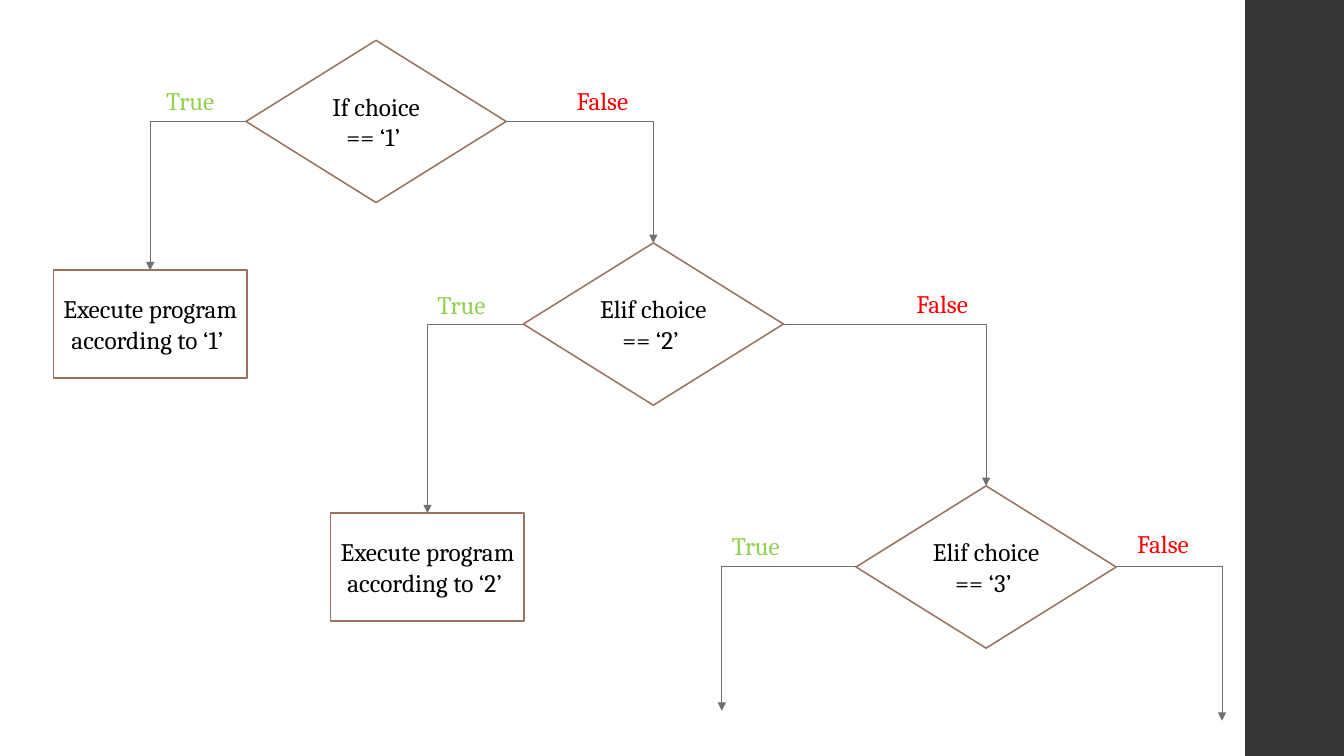
from dataclasses import dataclass

import pptx
import pptx.dml.color
import pptx.enum.dml
import pptx.enum.shapes
import pptx.enum.text
import pptx.util
from lxml import etree
from pptx.oxml.ns import qn
from pptx.util import Inches

SHAPES = pptx.enum.shapes.MSO_SHAPE
FONT = "Cambria"
DIAMOND_SIZE = (2.58, 1.61)
PROGRAM_SIZE = (1.92, 1.07)
LABEL_SIZE = (0.95, 0.4)
BLACK, WHITE, BAND, BROWN, GREY = "000000", "FFFFFF", "353537", "9B7362", "6F6F74"
GREEN, RED = "92D050", "FF0000"
TOP, LEFT, RIGHT = 0, 1, 3  # connection sites of diamonds and rectangles


@dataclass
class Decision:
    text: str
    left: float
    top: float
    true_label: tuple[float, float]
    false_label: tuple[float, float]


@dataclass
class Program:
    text: str
    left: float
    top: float


DECISIONS = [
    Decision("If choice == ‘1’ ", 2.44, 0.4, (1.55, 0.8), (5.62, 0.8)),
    Decision("Elif choice == ‘2’ ", 5.19, 2.41, (4.24, 2.82), (8.99, 2.81)),
    Decision("Elif choice == ‘3’ ", 8.49, 4.82, (7.16, 5.21), (11.18, 5.19)),
]
PROGRAMS = [
    Program("Execute program according to ‘1’ ", 0.53, 2.68),
    Program("Execute program according to ‘2’ ", 3.28, 5.09),
]
OPEN_TRUE_END = (7.16, 7.05)
OPEN_FALSE_END = (12.12, 7.15)


def colour(hex_code: str) -> pptx.dml.color.RGBColor:
    return pptx.dml.color.RGBColor.from_string(hex_code)


def write(shape, text: str, hex_code: str, align=None) -> None:
    shape.text_frame.word_wrap = True
    para = shape.text_frame.paragraphs[0]
    para.alignment = align
    span = para.add_run()
    span.text = text
    span.font.name = FONT
    span.font.size = pptx.util.Pt(18)
    span.font.color.rgb = colour(hex_code)


def add_node(page, kind, left: float, top: float, size: tuple[float, float], text: str):
    node = page.shapes.add_shape(kind, Inches(left), Inches(top), *map(Inches, size))
    node.shadow.inherit = False
    node.fill.solid()
    node.fill.fore_color.rgb = colour(WHITE)
    node.line.color.rgb = colour(BROWN)
    node.line.width = pptx.util.Pt(1.1)
    node.text_frame.vertical_anchor = pptx.enum.text.MSO_ANCHOR.MIDDLE
    write(node, text, BLACK, pptx.enum.text.PP_ALIGN.CENTER)
    return node


def add_label(page, place: tuple[float, float], text: str, hex_code: str) -> None:
    box = page.shapes.add_textbox(*map(Inches, place + LABEL_SIZE))
    write(box, text, hex_code)


def add_arrow(page, source, site: int, end: tuple[int, int], target=None) -> None:
    """Draw a one-bend arrow from a side of a decision down to its end."""
    start_x = source.left + (source.width if site == RIGHT else 0)
    start_y = source.top + source.height // 2
    arrow = page.shapes.add_connector(
        pptx.enum.shapes.MSO_CONNECTOR.ELBOW, start_x, start_y, *end)
    arrow.begin_connect(source, site)
    if target is not None:
        arrow.end_connect(target, TOP)
    arrow.line.color.rgb = colour(GREY)
    arrow.line.width = pptx.util.Pt(0.75)

    # Single bend, arrowhead and no shadow
    properties = arrow._element.spPr
    geometry = properties.find(qn("a:prstGeom"))
    geometry.set("prst", "bentConnector2")
    etree.SubElement(properties.find(qn("a:ln")), qn("a:tailEnd"), type="triangle")
    etree.SubElement(properties, qn("a:effectLst"))


def top_centre(node) -> tuple[int, int]:
    return node.left + node.width // 2, node.top


def main() -> None:
    deck = pptx.Presentation()
    deck.slide_width, deck.slide_height = Inches(13.33), Inches(7.5)
    page = deck.slides.add_slide(deck.slide_layouts[6])

    # Side band
    band = page.shapes.add_shape(
        SHAPES.RECTANGLE, Inches(12.35), 0, Inches(1), Inches(7.5))
    band.shadow.inherit = False
    band.fill.solid()
    band.fill.fore_color.rgb = colour(BAND)
    band.line.fill.background()

    # Decisions and programs
    diamonds = [add_node(page, SHAPES.DIAMOND, item.left, item.top, DIAMOND_SIZE, item.text)
                for item in DECISIONS]
    programs = [add_node(page, SHAPES.RECTANGLE, item.left, item.top, PROGRAM_SIZE, item.text)
                for item in PROGRAMS]

    # Arrows between nodes, then the two open ends
    for index, program in enumerate(programs):
        following = diamonds[index + 1]
        add_arrow(page, diamonds[index], LEFT, top_centre(program), program)
        add_arrow(page, diamonds[index], RIGHT, top_centre(following), following)
    for site, (x, y) in ((LEFT, OPEN_TRUE_END), (RIGHT, OPEN_FALSE_END)):
        add_arrow(page, diamonds[-1], site, (Inches(x), Inches(y)))

    # Branch labels
    for item in DECISIONS:
        add_label(page, item.true_label, "True", GREEN)
        add_label(page, item.false_label, "False", RED)

    deck.save("out.pptx")


if __name__ == "__main__":
    main()
